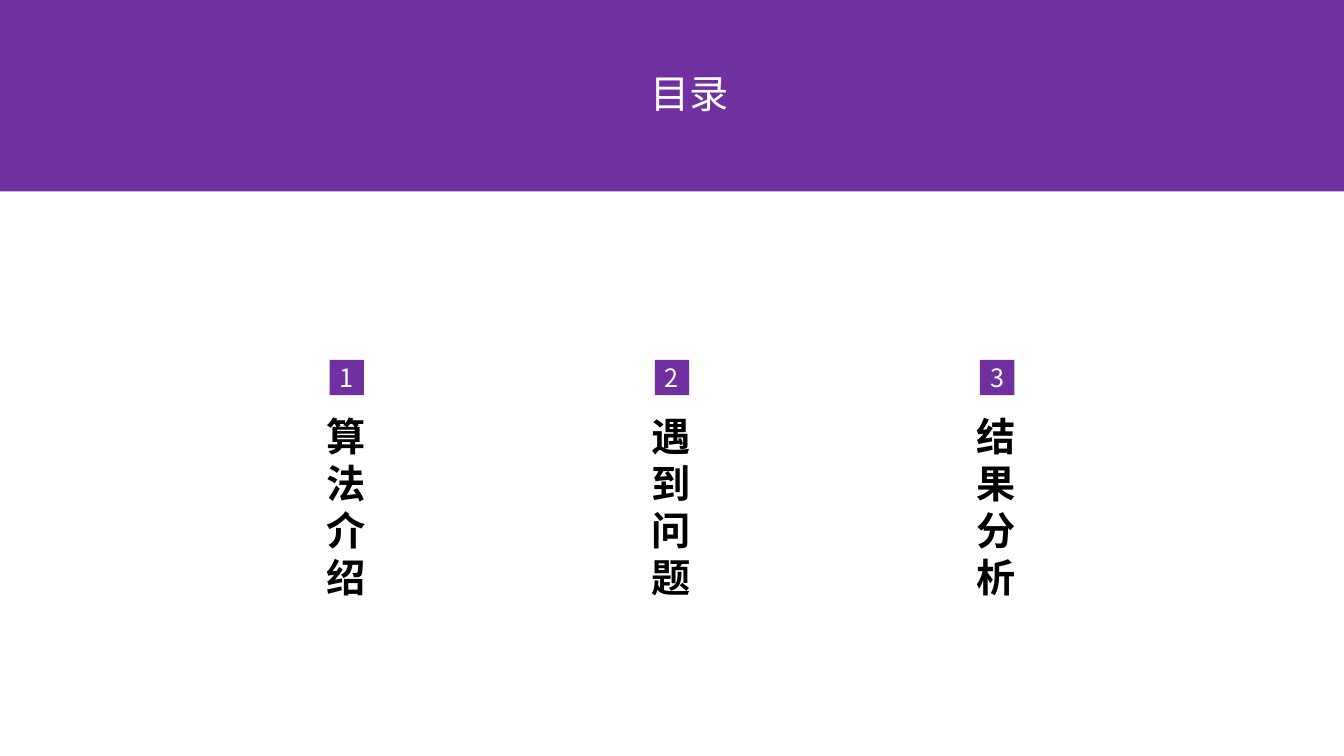
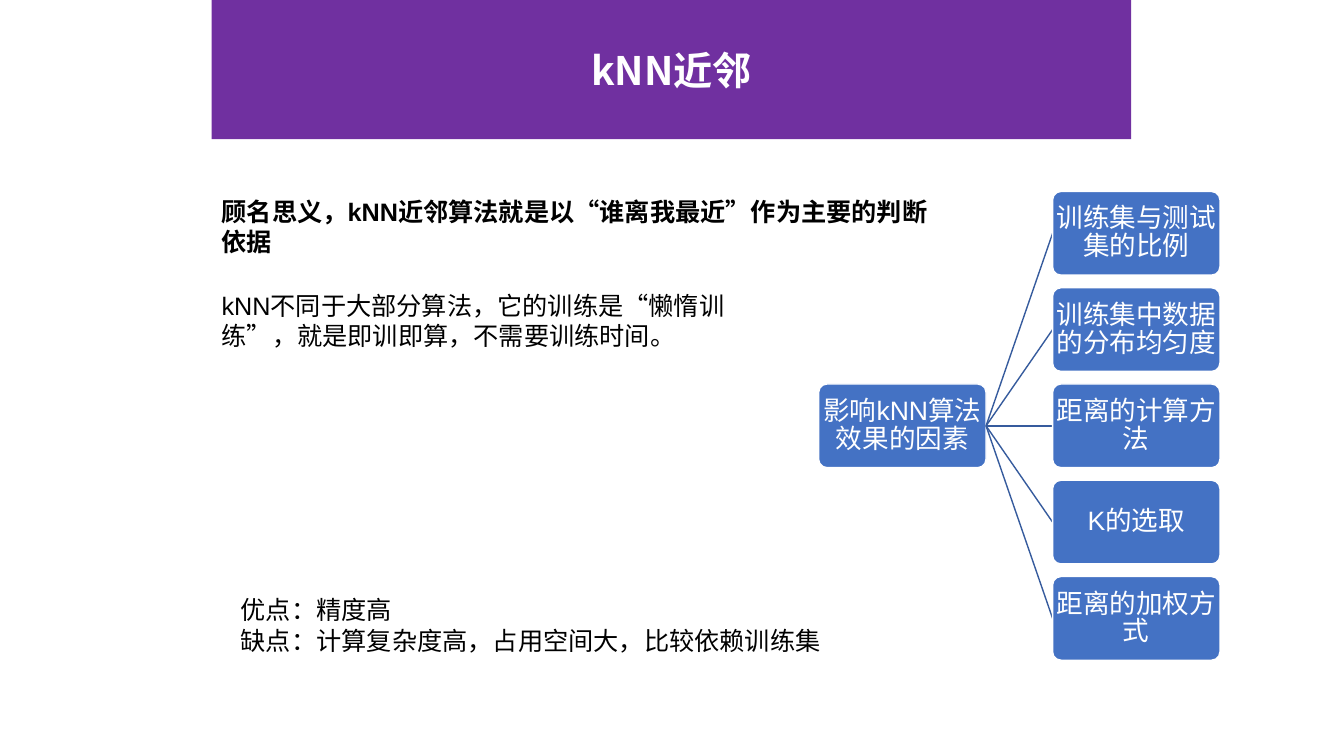
"""Build an agenda slide and a kNN overview slide."""
from lxml import etree
from pptx import Presentation
from pptx.dml.color import RGBColor
from pptx.enum import shapes, text
from pptx.oxml import ns
from pptx.util import Inches, Pt

PURPLE, BLUE, LINE_BLUE = "7030A0", "4472C4", "365B9D"
WHITE, BLACK = "FFFFFF", "000000"
CJK_FONT, LATIN_FONT = "Noto Sans CJK SC", "Arial"
LEFT, CENTER = text.PP_ALIGN.LEFT, text.PP_ALIGN.CENTER
TOP, MIDDLE = text.MSO_ANCHOR.TOP, text.MSO_ANCHOR.MIDDLE

AGENDA_TITLE = "目录"
AGENDA = ["算法介绍", "遇到问题", "结果分析"]
KNN_TITLE = "kNN近邻"
KNN_TEXTS = [
    (["kNN不同于大部分算法，它的训练是“懒惰训练”，就是即训即算，不需要训练时间。"],
     (2.1, 2.83, 5.55, 1.01), {"font": LATIN_FONT}),
    (["顾名思义，kNN近邻算法就是以“谁离我最近”作为主要的判断依据"],
     (2.1, 1.9, 7.43, 0.71), {"font": LATIN_FONT, "bold": True}),
    (["优点：精度高", "缺点：计算复杂度高，占用空间大，比较依赖训练集"],
     (2.29, 5.85, 6.14, 0.71), {}),
]
ROOT = "影响kNN算法效果的因素"
FACTORS = ["训练集与测试集的比例", "训练集中数据的分布均匀度", "距离的计算方法",
           "K的选取", "距离的加权方式"]
NODE_WIDTH, NODE_HEIGHT, NODE_STEP = 1.66, 0.83, 0.955
ROOT_LEFT, FACTOR_LEFT, FACTOR_TOP = 8.12, 10.44, 1.9
NO_MARGINS = (0, 0, 0, 0)


def color(value):
    """Turn a hex string into a colour."""
    return RGBColor.from_string(value)


def inches(values):
    """Turn numbers into lengths."""
    return [Inches(value) for value in values]


def write(shape, lines, size=18, font=CJK_FONT, ink=BLACK, bold=False, align=LEFT,
          anchor=TOP, margins=(0.1, 0.05, 0.1, 0.05), leading=1.2):
    """Fill a shape with formatted paragraphs."""
    frame = shape.text_frame
    frame.auto_size = text.MSO_AUTO_SIZE.NONE
    frame.word_wrap = True
    frame.vertical_anchor = anchor
    (frame.margin_left, frame.margin_top,
     frame.margin_right, frame.margin_bottom) = inches(margins)
    frame.text = "\n".join(lines)
    for paragraph in frame.paragraphs:
        paragraph.alignment = align
        paragraph.line_spacing = Pt(round(size * leading, 1))
        for run in paragraph.runs:
            run.font.name, run.font.size, run.font.bold = font, Pt(size), bold
            run.font.color.rgb = color(ink)
    for properties in shape.element.iter(ns.qn("a:rPr")):
        etree.SubElement(properties, ns.qn("a:ea"), typeface=CJK_FONT)


def add_text(slide, lines, box, **style):
    """Add a text box."""
    write(slide.shapes.add_textbox(*inches(box)), lines, **style)


def add_block(slide, box, fill, kind=shapes.MSO_SHAPE.RECTANGLE):
    """Add a flat filled shape without outline."""
    shape = slide.shapes.add_shape(kind, *inches(box))
    shape.shadow.inherit = False
    shape.fill.solid()
    shape.fill.fore_color.rgb = color(fill)
    shape.line.fill.background()
    return shape


def add_title(slide, title, box, **style):
    """Place and format the title placeholder."""
    shape = slide.shapes.title
    shape.left, shape.top, shape.width, shape.height = inches(box)
    write(shape, [title], size=28, ink=WHITE, **style)
    return shape


def add_node(slide, label, left, top):
    """Add one rounded box of the factor tree."""
    node = add_block(slide, (left, top, NODE_WIDTH, NODE_HEIGHT), BLUE,
                     shapes.MSO_SHAPE.ROUNDED_RECTANGLE)
    node.adjustments[0] = 0.1
    node.line.color.rgb = color(WHITE)
    node.line.width = Pt(1)
    write(node, [label], size=19, font=LATIN_FONT, ink=WHITE, align=CENTER,
          anchor=MIDDLE, margins=NO_MARGINS, leading=1.05)


def add_branch(slide, start, end):
    """Add a straight line between two points."""
    line = slide.shapes.add_connector(shapes.MSO_CONNECTOR.STRAIGHT, *inches(start + end))
    line.line.color.rgb = color(LINE_BLUE)
    line.line.width = Pt(1)
    etree.SubElement(line.element.spPr, ns.qn("a:effectLst"))


presentation = Presentation()
presentation.slide_width, presentation.slide_height = inches((13.33, 7.5))
title_only = presentation.slide_layouts[5]

agenda = presentation.slides.add_slide(title_only)
band = add_block(agenda, (0, 0, 13.33, 1.9), PURPLE)
heading = add_title(agenda, AGENDA_TITLE, (6.18, 0.64, 1.35, 0.57),
                    margins=(0.27, 0.05, 0.1, 0.05))
heading.element.addprevious(band.element)
for index, topic in enumerate(AGENDA):
    left = 3.14 + index * 3.225
    add_text(agenda, [topic], (left, 4.04, 0.6, 1.99), size=28, bold=True)
    badge = add_block(agenda, (left + 0.13, 3.57, 0.34, 0.35), PURPLE)
    write(badge, [str(index + 1)], ink=WHITE, align=CENTER, anchor=MIDDLE,
          margins=NO_MARGINS)

knn = presentation.slides.add_slide(title_only)
heading = add_title(knn, KNN_TITLE, (2.1, 0, 9.12, 1.38), bold=True, align=CENTER,
                    anchor=MIDDLE)
heading.fill.solid()
heading.fill.fore_color.rgb = color(PURPLE)
for lines, box, style in KNN_TEXTS:
    add_text(knn, lines, box, **style)

root_top = FACTOR_TOP + NODE_STEP * (len(FACTORS) - 1) / 2
fork = (ROOT_LEFT + NODE_WIDTH, root_top + NODE_HEIGHT / 2)
add_node(knn, ROOT, ROOT_LEFT, root_top)
for index, factor in enumerate(FACTORS):
    top = FACTOR_TOP + index * NODE_STEP
    add_branch(knn, fork, (FACTOR_LEFT, top + NODE_HEIGHT / 2))
    add_node(knn, factor, FACTOR_LEFT, top)

presentation.save("out.pptx")
